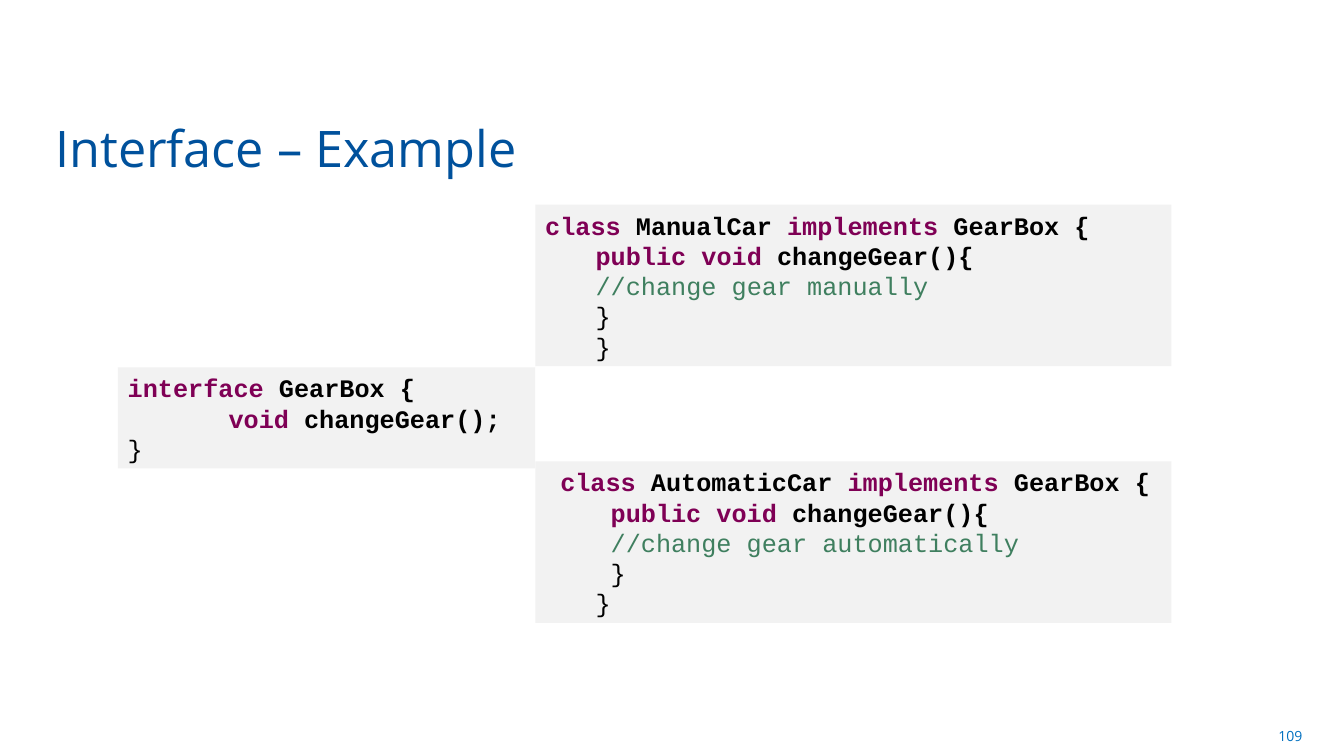
import pptx
import pptx.util
import pptx.dml.color
import pptx.enum.shapes
import pptx.enum.text

Cm, Pt = pptx.util.Cm, pptx.util.Pt
RGBColor = pptx.dml.color.RGBColor
Align, Anchor = pptx.enum.text.PP_ALIGN, pptx.enum.text.MSO_ANCHOR

TITLE_BLUE = RGBColor(0x00, 0x51, 0x9C)
NUMBER_BLUE = RGBColor(0x00, 0x70, 0xC0)
PANEL_GRAY = RGBColor(0xF2, 0xF2, 0xF2)
KEYWORD = RGBColor(0x7F, 0x00, 0x55)
COMMENT = RGBColor(0x3F, 0x7F, 0x5F)
BLACK = RGBColor(0x00, 0x00, 0x00)

TITLE = "Interface – Example"
SLIDE_NUMBER = "109"

# Kind of text: (colour, bold)
STYLES = {"keyword": (KEYWORD, True), "name": (BLACK, True),
          "comment": (COMMENT, False), "brace": (BLACK, False)}


def class_code(name, comment, shift):
    """Return the lines of a class that implements GearBox, moved right by shift cm."""
    inner = 1.27 + shift
    return [
        (shift, [("class", "keyword"), (f" {name} ", "name"),
                 ("implements", "keyword"), (" GearBox {", "name")]),
        (inner, [("public void", "keyword"), (" changeGear(){", "name")]),
        (inner, [(comment, "comment")]),
        (inner, [("}", "brace")]),
        (1.27, [("}", "brace")]),
    ]


INTERFACE_CODE = [
    (0, [("interface", "keyword"), (" GearBox {", "name")]),
    (2.54, [("void", "keyword"), (" changeGear();", "name")]),
    (0, [("}", "brace")]),
]

# Left, top and width in cm, then lines of (indent in cm, runs)
INTERFACE_LEFT, INTERFACE_WIDTH = 2.97, 10.52
CLASS_LEFT, CLASS_WIDTH = INTERFACE_LEFT + INTERFACE_WIDTH, 16.03
PANELS = [
    (INTERFACE_LEFT, 9.26, INTERFACE_WIDTH, INTERFACE_CODE),
    (CLASS_LEFT, 5.16, CLASS_WIDTH,
     class_code("ManualCar", "//change gear manually", 0)),
    (CLASS_LEFT, 11.63, CLASS_WIDTH,
     class_code("AutomaticCar", "//change gear automatically", 0.38)),
]
CODE_SIZE = 18
LINE_POINTS = CODE_SIZE * 1.2
PANEL_PADDING = Cm(0.13)


def format_run(run, font_name, size, color, bold=False):
    """Set the font of one run."""
    run.font.name = font_name
    run.font.size = Pt(size)
    run.font.color.rgb = color
    run.font.bold = bold


def place(shape, left, top, width, height):
    """Move and size a shape, lengths in cm."""
    shape.left, shape.top = Cm(left), Cm(top)
    shape.width, shape.height = Cm(width), Cm(height)


def write_line(shape, text, size, color, alignment, anchor):
    """Write one Open Sans line into a shape."""
    text_frame = shape.text_frame
    text_frame.text = text
    text_frame.word_wrap = True
    text_frame.auto_size = pptx.enum.text.MSO_AUTO_SIZE.NONE
    text_frame.vertical_anchor = anchor
    paragraph = text_frame.paragraphs[0]
    paragraph.alignment = alignment
    format_run(paragraph.runs[0], "Open Sans", size, color)


def add_code_panel(slide, left, top, width, lines):
    """Add a gray panel as tall as its lines of coloured code."""
    height = Pt(LINE_POINTS * len(lines)) + 2 * PANEL_PADDING
    panel = slide.shapes.add_shape(
        pptx.enum.shapes.MSO_SHAPE.RECTANGLE, Cm(left), Cm(top), Cm(width), height)
    panel.shadow.inherit = False
    panel.fill.solid()
    panel.fill.fore_color.rgb = PANEL_GRAY
    panel.line.fill.background()
    text_frame = panel.text_frame
    text_frame.word_wrap = True
    text_frame.vertical_anchor = Anchor.TOP
    text_frame.margin_top = text_frame.margin_bottom = PANEL_PADDING
    for index, (indent, runs) in enumerate(lines):
        paragraph = text_frame.add_paragraph() if index else text_frame.paragraphs[0]
        paragraph.alignment = Align.LEFT
        paragraph.line_spacing = Pt(LINE_POINTS)
        paragraph._p.get_or_add_pPr().set("marL", str(Cm(indent)))
        for text, kind in runs:
            run = paragraph.add_run()
            run.text = text
            format_run(run, "Courier New", CODE_SIZE, *STYLES[kind])


presentation = pptx.Presentation()
presentation.slide_width, presentation.slide_height = Cm(33.87), Cm(19.05)
slide = presentation.slides.add_slide(presentation.slide_layouts[5])

title = slide.shapes.title
place(title, 1.14, 2.87, 25.35, 1.73)
write_line(title, TITLE, 36, TITLE_BLUE, Align.LEFT, Anchor.BOTTOM)

for panel_values in PANELS:
    add_code_panel(slide, *panel_values)

number_box = slide.shapes.add_textbox(Cm(25.17), Cm(18.03), Cm(7.9), Cm(1.02))
write_line(number_box, SLIDE_NUMBER, 10, NUMBER_BLUE, Align.RIGHT, Anchor.MIDDLE)

presentation.save("out.pptx")
